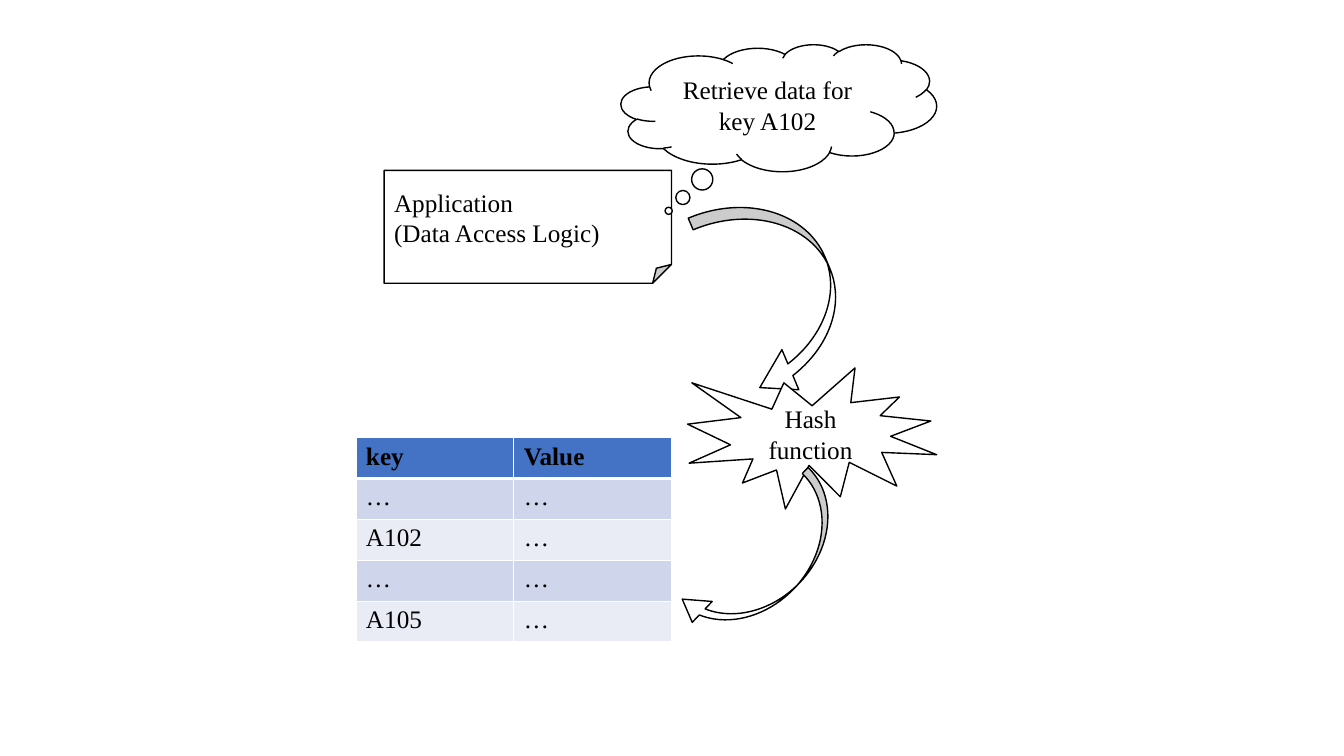
from dataclasses import dataclass

from lxml.etree import SubElement
from pptx import Presentation
from pptx.dml.color import RGBColor
from pptx.enum.shapes import MSO_SHAPE
from pptx.enum.text import MSO_ANCHOR, PP_ALIGN
from pptx.oxml.ns import qn
from pptx.slide import Slide
from pptx.table import _Cell
from pptx.text.text import TextFrame
from pptx.util import Inches, Pt

BLACK = RGBColor(0x00, 0x00, 0x00)
WHITE = RGBColor(0xFF, 0xFF, 0xFF)
HEADER_BLUE = RGBColor(0x44, 0x72, 0xC4)
BAND_DARK = RGBColor(0xCF, 0xD5, 0xEA)
BAND_LIGHT = RGBColor(0xE9, 0xEB, 0xF5)
FONT = "Times New Roman"
ARROW_BEND = (0.114, 0.392, 0.317)


@dataclass
class Figure:
    """An outlined shape of the lookup flow; lengths are in inches."""
    preset: MSO_SHAPE
    left: float
    top: float
    width: float
    height: float
    text: str = ""
    align: PP_ALIGN = PP_ALIGN.CENTER
    adjustments: tuple[float, ...] = ()
    rotation: float = 0


FIGURES = [
    Figure(MSO_SHAPE.FOLDED_CORNER, 3.81, 1.69, 2.85, 1.12,
           "Application\n(Data Access Logic)", PP_ALIGN.LEFT),
    Figure(MSO_SHAPE.CLOUD_CALLOUT, 6.16, 0.44, 3.13, 1.26,
           "Retrieve data for key A102", adjustments=(-0.349, 0.811)),
    Figure(MSO_SHAPE.CURVED_LEFT_ARROW, 7.18, 1.87, 1.1, 2.04,
           adjustments=ARROW_BEND, rotation=337.1),
    Figure(MSO_SHAPE.EXPLOSION1, 6.82, 3.65, 2.47, 1.4, "Hash function"),
    Figure(MSO_SHAPE.CURVED_LEFT_ARROW, 7.24, 4.62, 0.73, 1.95,
           adjustments=ARROW_BEND, rotation=43.7),
]
HASH_ROWS = [("key", "Value"), ("…", "…"), ("A102", "…"), ("…", "…"), ("A105", "…")]


def write_text(frame: TextFrame, text: str, align: PP_ALIGN, bold: bool = False) -> None:
    """Fill a text frame and format all of its runs."""
    frame.text = text
    for para in frame.paragraphs:
        para.alignment = align
        for span in para.runs:
            span.font.name = FONT
            span.font.size = Pt(18)
            span.font.bold = bold
            span.font.color.rgb = BLACK


def draw_figure(page: Slide, figure: Figure) -> None:
    """Draw one white shape with a thin black outline."""
    shape = page.shapes.add_shape(
        figure.preset, Inches(figure.left), Inches(figure.top),
        Inches(figure.width), Inches(figure.height))
    shape.shadow.inherit = False
    shape.fill.solid()
    shape.fill.fore_color.rgb = WHITE
    shape.line.color.rgb = BLACK
    shape.line.width = Pt(1)
    shape.rotation = figure.rotation
    for index, value in enumerate(figure.adjustments):
        shape.adjustments[index] = value
    if figure.text:
        shape.text_frame.word_wrap = True
        shape.text_frame.vertical_anchor = MSO_ANCHOR.MIDDLE
        write_text(shape.text_frame, figure.text, figure.align)


def add_borders(cell: _Cell, bottom: int, top: int) -> None:
    """Give a cell white borders; widths are in points."""
    properties = cell._tc.get_or_add_tcPr()
    for side, width in (("L", 1), ("R", 1), ("T", top), ("B", bottom)):
        border = SubElement(properties, qn(f"a:ln{side}"), w=str(Pt(width)))
        paint = SubElement(border, qn("a:solidFill"))
        SubElement(paint, qn("a:srgbClr"), val=str(WHITE))


def draw_hash_table(page: Slide) -> None:
    """Draw the key/value table with a header and banded rows."""
    table = page.shapes.add_table(
        len(HASH_ROWS), 2, Inches(3.53), Inches(4.34), Inches(3.13), Inches(2.03)).table
    for row_index, values in enumerate(HASH_ROWS):
        header = row_index == 0
        band = BAND_DARK if row_index % 2 else BAND_LIGHT
        for column_index, value in enumerate(values):
            cell = table.cell(row_index, column_index)
            add_borders(cell, bottom=3 if header else 1, top=3 if row_index == 1 else 1)
            cell.fill.solid()
            cell.fill.fore_color.rgb = HEADER_BLUE if header else band
            write_text(cell.text_frame, value, PP_ALIGN.LEFT, bold=header)


def main() -> None:
    """Build the hash lookup slide."""
    deck = Presentation()
    deck.slide_width = Inches(13.33)
    deck.slide_height = Inches(7.5)
    page = deck.slides.add_slide(deck.slide_layouts[6])
    for figure in FIGURES:
        draw_figure(page, figure)
    draw_hash_table(page)
    deck.save("out.pptx")


main()
